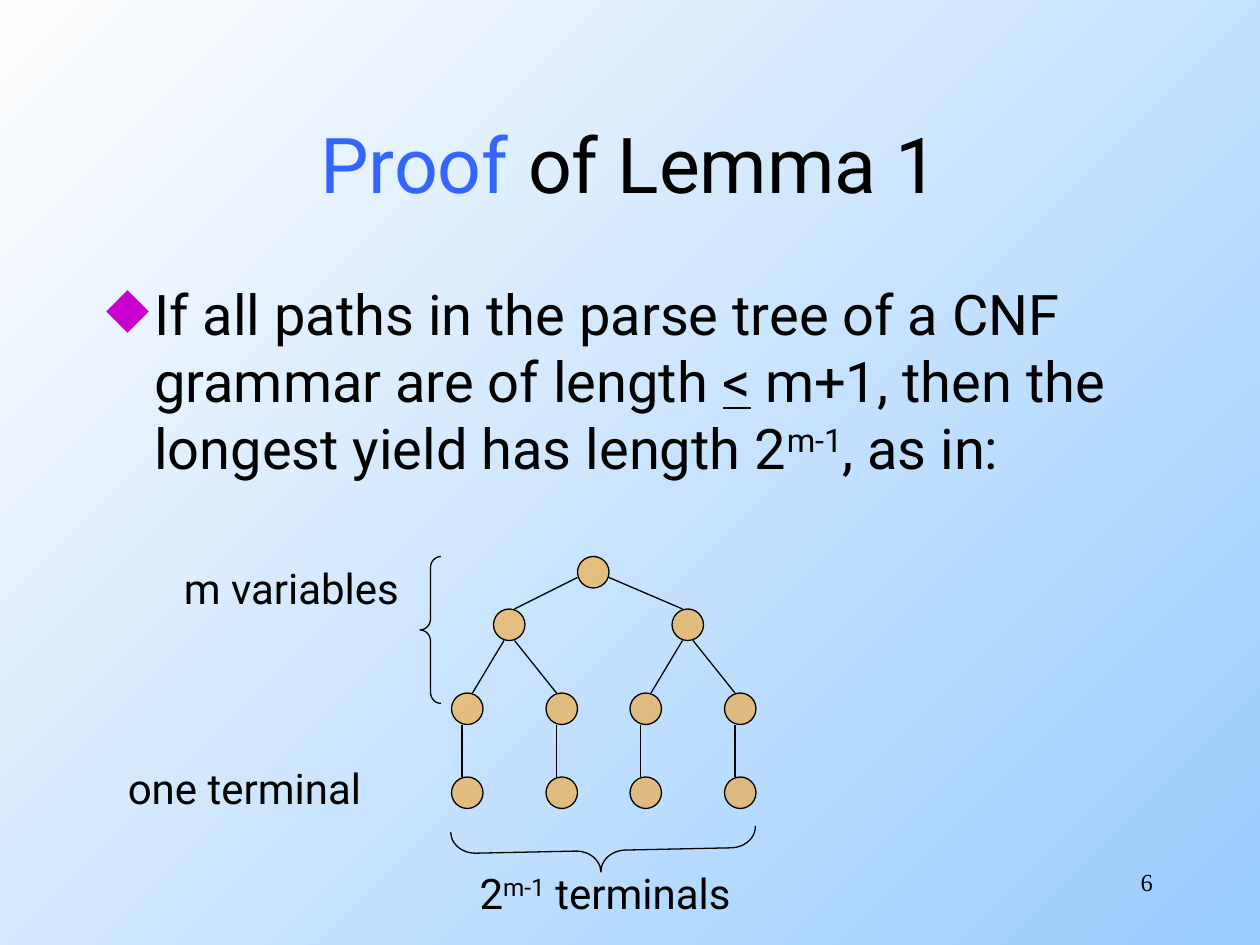
from lxml import etree
from pptx import Presentation
from pptx.dml.color import RGBColor
from pptx.enum.shapes import MSO_CONNECTOR, MSO_SHAPE
from pptx.enum.text import MSO_ANCHOR, MSO_AUTO_SIZE, PP_ALIGN
from pptx.oxml.ns import qn
from pptx.util import Pt

BLACK = RGBColor(0, 0, 0)
BLUE = RGBColor(0x33, 0x66, 0xFF)
ORANGE = RGBColor(0xFF, 0x99, 0)
SKY = RGBColor(0x99, 0xCC, 0xFF)
WHITE = RGBColor(0xFE, 0xFE, 0xFE)
LEFT, CENTER, RIGHT = PP_ALIGN.LEFT, PP_ALIGN.CENTER, PP_ALIGN.RIGHT
TOP, MIDDLE = MSO_ANCHOR.TOP, MSO_ANCHOR.MIDDLE
NO_FIT = MSO_AUTO_SIZE.NONE
OVAL, BRACE = MSO_SHAPE.OVAL, MSO_SHAPE.LEFT_BRACE
STRAIGHT = MSO_CONNECTOR.STRAIGHT


def write(shape, runs, size, align=LEFT, anchor=TOP, wrap=True, face="Roboto"):
    """Fill a text shape; each run is (text, colour, underline, superscript)."""
    frame = shape.text_frame
    form = {"word_wrap": wrap, "auto_size": NO_FIT, "vertical_anchor": anchor}
    for name, value in form.items():
        setattr(frame, name, value)
    para = frame.paragraphs[0]
    para.alignment = align
    for text, color, under, raised in runs:
        run = para.add_run()
        run.text = text
        form = {"name": face, "size": Pt(size), "underline": under, "bold": False}
        for name, value in form.items():
            setattr(run.font, name, value)
        run.font.color.rgb = color
        if raised:
            run.font._element.set("baseline", "30000")
    return para


def join(x1, y1, x2, y2):
    line = slide.shapes.add_connector(STRAIGHT, Pt(x1), Pt(y1), Pt(x2), Pt(y2))
    line.line.color.rgb = BLACK
    line.line.width = Pt(0.75)
    etree.SubElement(line._element.spPr, qn("a:effectLst"))


deck = Presentation()
deck.slide_width, deck.slide_height = Pt(720), Pt(540)
slide = deck.slides.add_slide(deck.slide_layouts[5])

back = slide.background.fill
back.gradient()
back.gradient_angle = 135
for stop, color, spot in zip(back.gradient_stops, (SKY, WHITE), (0, 1)):
    stop.color.rgb = color
    stop.position = spot

title = slide.shapes.title
place = {"left": 54, "top": 48, "width": 612, "height": 90}
for name, value in place.items():
    setattr(title, name, Pt(value))
write(title, [("Proof", BLUE, False, False), (" of Lemma 1", BLACK, False, False)],
      44, CENTER, MIDDLE)

# Claim with its bullet
body = slide.shapes.add_textbox(Pt(54), Pt(156), Pt(612), Pt(324))
claim = write(body, [
    ("If all paths in the parse tree of a CNF grammar are of length ", BLACK, False, False),
    ("<", BLACK, True, False),
    (" m+1, then the longest yield has length 2", BLACK, False, False),
    ("m-1", BLACK, False, True),
    (", as in:", BLACK, False, False)], 32)
claim.space_before = Pt(8)
props = claim._p.get_or_add_pPr()
props.set("marL", str(Pt(27)))
props.set("indent", str(Pt(-27)))
tint = etree.SubElement(props, qn("a:buClr"))
etree.SubElement(tint, qn("a:srgbClr"), val="CC00CC")
etree.SubElement(props, qn("a:buChar"), char="◆")

# Tree: each row is (top, left edges of its nodes)
SIZE, NEAR, FAR = 18, 6, 12
leaves = [258, 312, 360, 414]
rows = [(318, [330]), (348, [282, 384]), (396, leaves), (444, leaves)]
for top, lefts in rows:
    for left in lefts:
        node = slide.shapes.add_shape(OVAL, Pt(left), Pt(top), Pt(SIZE), Pt(SIZE))
        node.shadow.inherit = False
        node.fill.solid()
        node.fill.fore_color.rgb = ORANGE
        shade = node._element.spPr.find(qn("a:solidFill"))[0]
        etree.SubElement(shade, qn("a:alpha"), val="50000")
        node.line.color.rgb = BLACK
        node.line.width = Pt(0.75)

for (top, above), (low, below) in zip(rows, rows[1:]):
    for i, left in enumerate(below):
        if len(above) == len(below):
            join(left + NEAR, top + SIZE, left + NEAR, low)
            continue
        odd = i % 2
        end = left + (NEAR if odd else FAR)
        parent = above[i // 2]
        if len(above) == 1:
            join(parent + SIZE * odd, top + FAR, end, low)
        else:
            join(parent + (FAR if odd else NEAR), top + SIZE, end, low)

# Braces: frame, turn, curve and middle
braces = [((240, 318, 12, 84), 0, 0.53, 0.5),
          ((332.64, 398.88, 24.48, 174.24), 268.8, 0.58, 0.49)]
for frame, turn, curve, mid in braces:
    brace = slide.shapes.add_shape(BRACE, *map(Pt, frame))
    brace.shadow.inherit = False
    brace.rotation = turn
    brace.adjustments[0] = curve
    brace.adjustments[1] = mid
    brace.fill.background()
    brace.line.color.rgb = BLACK
    brace.line.width = Pt(0.75)

labels = [
    ((98, 318, 144, 36), [("m variables", BLACK, False, False)]),
    ((66, 432, 158.4, 36), [("one terminal", BLACK, False, False)]),
    ((267, 492, 166.4, 36), [("2", BLACK, False, False), ("m-1", BLACK, False, True),
                             (" terminals", BLACK, False, False)]),
]
for frame, runs in labels:
    write(slide.shapes.add_textbox(*map(Pt, frame)), runs, 24, wrap=False)

page = slide.shapes.add_textbox(Pt(516), Pt(492), Pt(150), Pt(36))
write(page, [("6", BLACK, False, False)], 14, RIGHT, face="Times New Roman")

deck.save("out.pptx")
